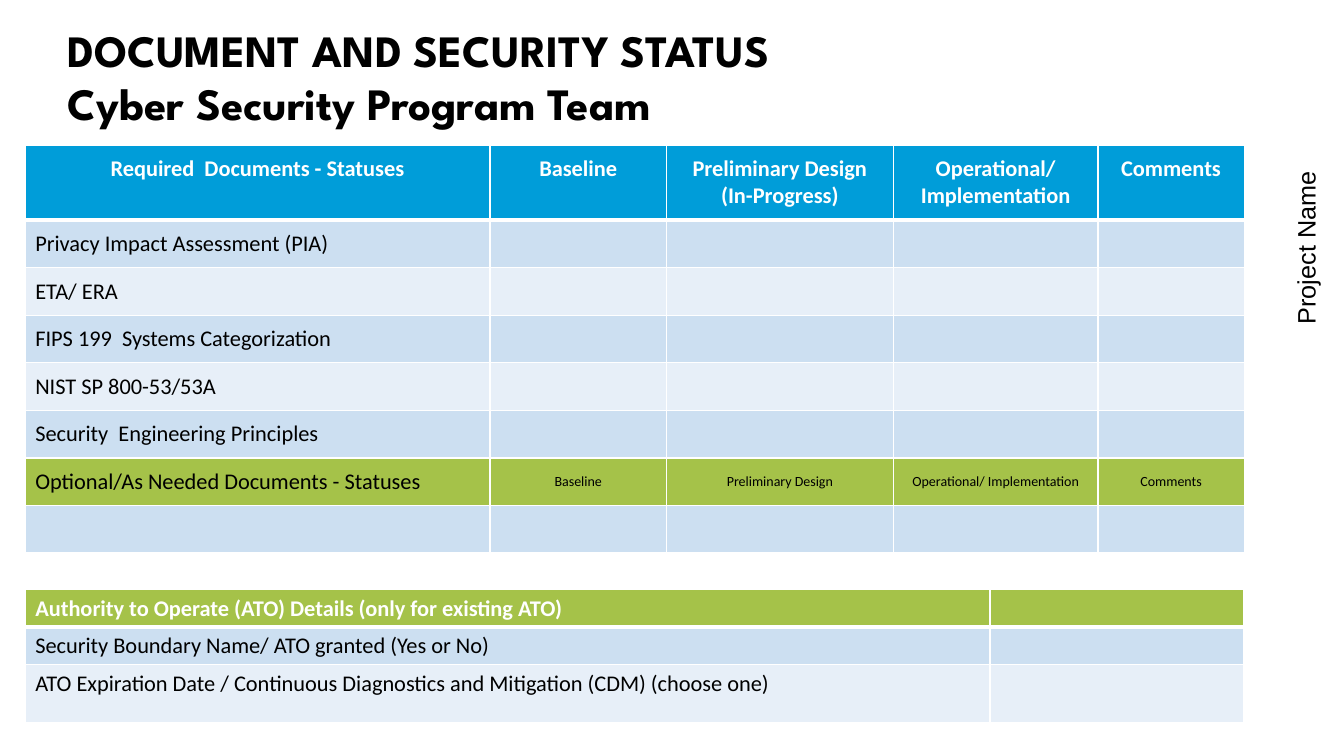
from lxml.etree import SubElement
from pptx import Presentation
from pptx.dml.color import RGBColor
from pptx.enum.text import MSO_ANCHOR as ANCHOR, PP_ALIGN as ALIGN
from pptx.oxml.ns import qn
from pptx.util import Pt

PX = 9144  # EMU per px, 100 px to the inch
BLUE, GREEN, PALE, PALER = "009DD9", "A5C249", "CCDFF1", "E7EFF8"
WHITE, BLACK = "FFFFFF", "000000"


def color(value):
    return RGBColor.from_string(value)


def write(tf, text, size=16, font="Calibri", fg=BLACK, bold=False, align=ALIGN.LEFT):
    """Fill a text frame: a newline starts a paragraph, \\v breaks a line."""
    tf.text = text
    for p in tf.paragraphs:
        p.alignment = align
        for r in p.runs:
            r.font.size, r.font.name, r.font.bold = Pt(size), font, bold
            r.font.color.rgb = color(fg)
        if not p.runs:
            SubElement(p._p, qn("a:endParaRPr"), sz=str(size * 100))


class Deck:
    def __init__(self, width, height):
        self.prs = Presentation()
        self.prs.slide_width, self.prs.slide_height = width * PX, height * PX
        self.s = self.prs.slides.add_slide(self.prs.slide_layouts[5])

    def title(self, text, x, y, w, h):
        sp = self.s.shapes.title
        sp.left, sp.top, sp.width, sp.height = (v * PX for v in (x, y, w, h))
        tf = sp.text_frame
        tf.margin_left = tf.margin_top = tf.margin_right = tf.margin_bottom = 0
        tf.vertical_anchor = ANCHOR.MIDDLE
        write(tf, text, size=32, font="League Spartan", bold=True)

    def label(self, text, x, y, w, h, rotation=0):
        sp = self.s.shapes.add_textbox(*(v * PX for v in (x, y, w, h)))
        sp.rotation = rotation
        sp.text_frame.word_wrap = True
        write(sp.text_frame, text, size=18, font="Arial", align=ALIGN.CENTER)

    def table(self, x, y, cols, rows):
        """Add an empty table and return it."""
        frame = self.s.shapes.add_table(len(rows), len(cols), x * PX, y * PX,
                                        sum(cols) * PX, sum(rows) * PX)
        for col, w in zip(frame.table.columns, cols):
            col.width = w * PX
        for row, h in zip(frame.table.rows, rows):
            row.height = h * PX
        return frame.table

    def cell(self, cell, text, fill, pad=None, anchor=ANCHOR.TOP, rule=1, top=1, **fmt):
        write(cell.text_frame, text, **fmt)
        cell.vertical_anchor = anchor
        if pad and text:
            cell.margin_left = cell.margin_right = pad * PX
            cell.margin_top = cell.margin_bottom = pad * PX
        # Borders come before the fill in the cell properties
        tc_pr = cell._tc.get_or_add_tcPr()
        for side, width in (("L", 1), ("R", 1), ("T", top), ("B", rule)):
            ln = SubElement(tc_pr, qn(f"a:ln{side}"), w=str(Pt(width)))
            SubElement(SubElement(ln, qn("a:solidFill")), qn("a:srgbClr"), val=WHITE)
        cell.fill.solid()
        cell.fill.fore_color.rgb = color(fill)


def main():
    deck = Deck(1333, 750)
    deck.title("DOCUMENT AND SECURITY STATUS\vCyber Security Program Team", 67, 17, 1092, 117)

    # Document statuses
    documents = ["Privacy Impact Assessment (PIA)", "ETA/ ERA", "FIPS 199  Systems Categorization",
                 "NIST SP 800-53/53A", "Security  Engineering Principles"]
    header = ["Required  Documents - Statuses", "Baseline", "Preliminary Design\n(In-Progress)",
              "Operational/\nImplementation", "Comments"]
    optional = ["Optional/As Needed Documents - Statuses", "Baseline", "Preliminary Design",
                "Operational/ Implementation", "Comments"]
    statuses = deck.table(25, 144, [461, 175, 225, 203, 145], [74] + [47] * 7)
    for c, text in enumerate(header):
        deck.cell(statuses.cell(0, c), text, BLUE, pad=10, rule=3,
                  fg=WHITE, bold=True, align=ALIGN.CENTER)
    for r, name in enumerate(documents + [None, ""], 1):
        for c in range(5):
            if name is None:
                deck.cell(statuses.cell(r, c), optional[c], GREEN, pad=10, anchor=ANCHOR.MIDDLE,
                          size=10 if c else 16, align=ALIGN.CENTER if c else ALIGN.LEFT)
            else:
                deck.cell(statuses.cell(r, c), "" if c else name, PALE if r % 2 else PALER,
                          pad=10, top=3 if r == 1 else 1)

    # Authority to Operate
    details = [("Authority to Operate (ATO) Details (only for existing ATO)", GREEN),
               ("Security Boundary Name/ ATO granted (Yes or No)", PALE),
               ("ATO Expiration Date / Continuous Diagnostics and Mitigation (CDM) (choose one)", PALER)]
    authority = deck.table(25, 585, [957, 251], [37, 37, 57])
    for r, (text, fill) in enumerate(details):
        for c in range(2):
            deck.cell(authority.cell(r, c), "" if c else text, fill, rule=1 if r else 3,
                      top=3 if r == 1 else 1, fg=BLACK if r else WHITE, bold=r == 0)

    # Project name along the right edge
    deck.label("Project Name", 1091, 226, 408, 40, rotation=270)
    deck.prs.save("out.pptx")


if __name__ == "__main__":
    main()
